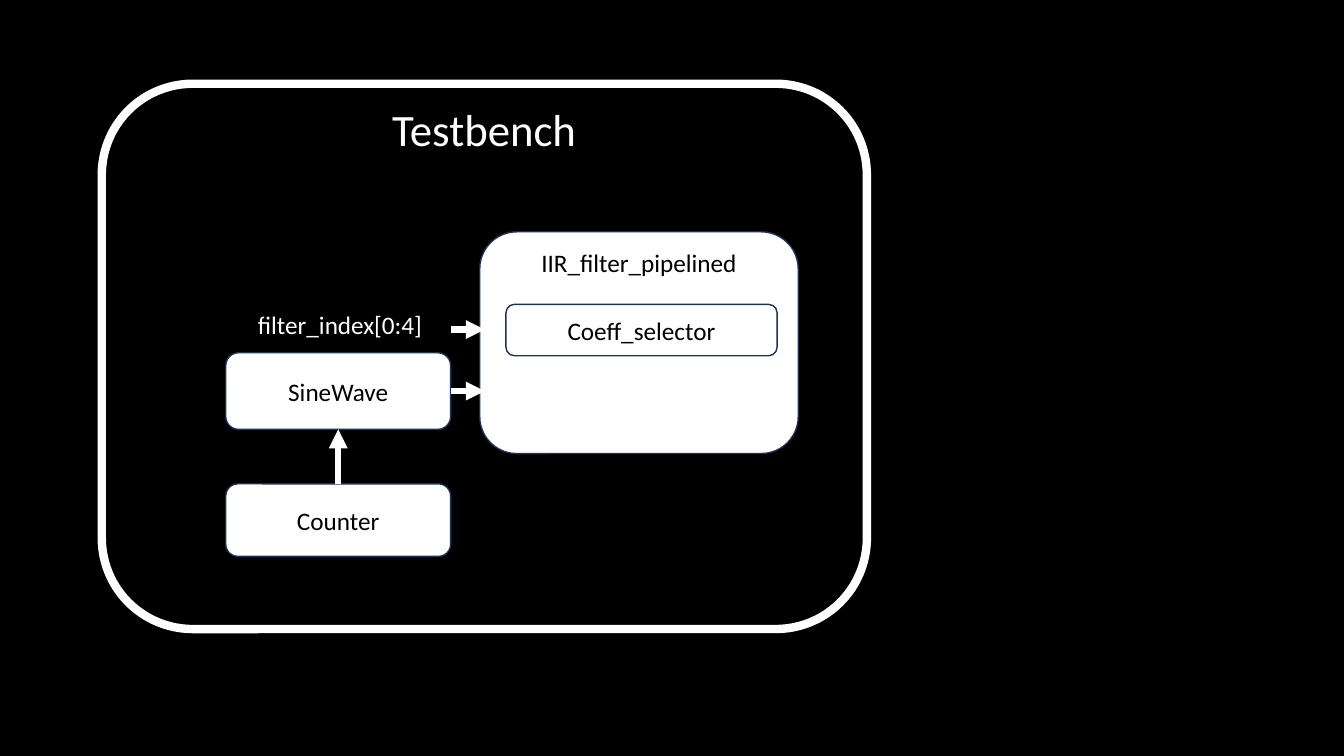
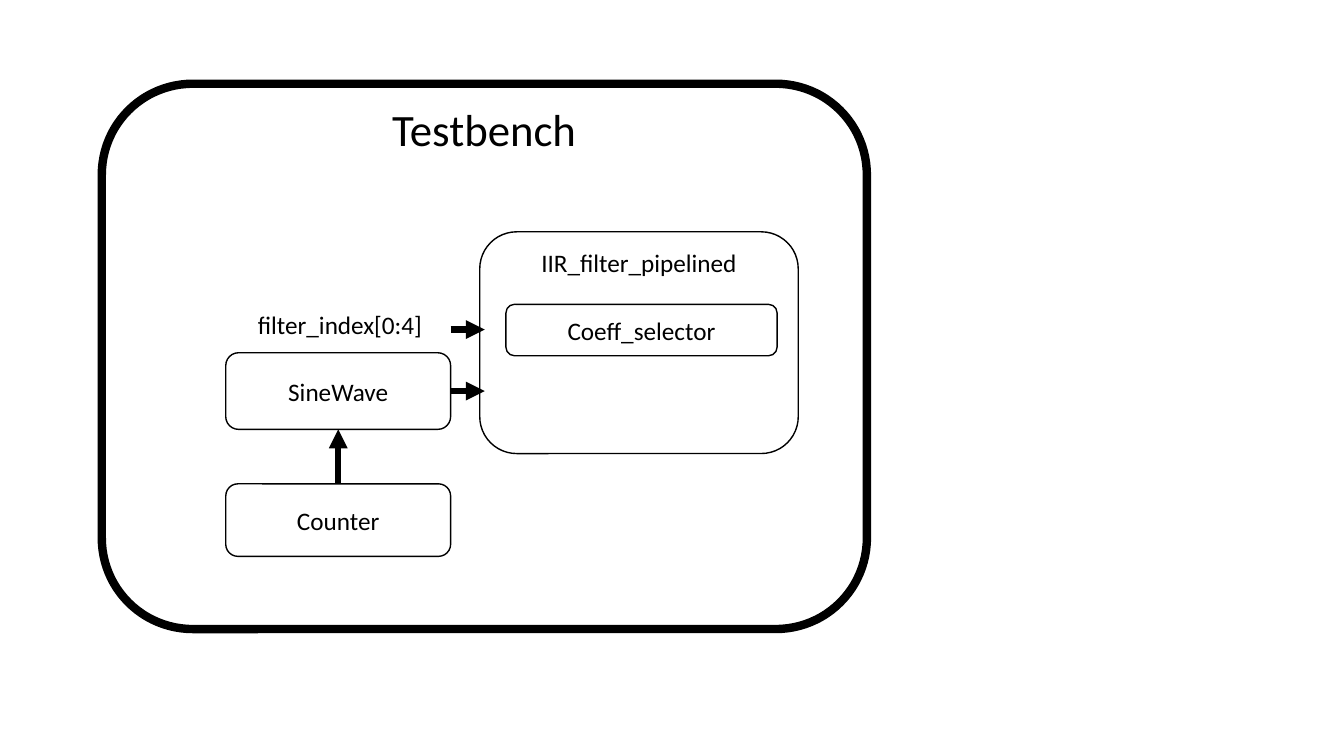
from lxml import etree
from pptx import Presentation
from pptx.dml.color import RGBColor
from pptx.enum.shapes import MSO_CONNECTOR, MSO_SHAPE
from pptx.enum.text import MSO_ANCHOR, PP_ALIGN
from pptx.oxml.ns import qn
from pptx.util import Pt

ROUNDED, STRAIGHT = MSO_SHAPE.ROUNDED_RECTANGLE, MSO_CONNECTOR.STRAIGHT
TOP, MIDDLE = MSO_ANCHOR.TOP, MSO_ANCHOR.MIDDLE
LEFT, CENTER = PP_ALIGN.LEFT, PP_ALIGN.CENTER

FONT = "Calibri"
COLORS = {"black": "000000", "white": "FFFFFF", "navy": "1E3256"}
THEMES = [
    {"back": "black", "ink": "white", "edge": "navy"},
    {"back": "white", "ink": "black", "edge": "black"},
]

# Content: left, top, width, height in points
FRAME = (72.7, 59.8, 546.5, 389.5)
BLOCKS = {
    "IIR_filter_pipelined": ((342.7, 165.6, 227.5, 158.4), TOP),
    "Coeff_selector": ((361.4, 217.4, 193.7, 36.7), MIDDLE),
    "SineWave": ((161.3, 252, 160.6, 54.7), MIDDLE),
    "Counter": ((161.3, 345.6, 160.6, 51.8), MIDDLE),
}
LABELS = [
    ("Testbench", (217.4, 69.1, 257, 46.1), 32, CENTER),
    ("filter_index[0:4]", (177.1, 217.4, 135.4, 28.8), 18, LEFT),
]
INDEX_Y = 235.4   # height of the filter_index arrow
ARROW_LENGTH = 24.4


def rgb(name):
    return RGBColor.from_string(COLORS[name])


def points(box):
    return [Pt(v) for v in box]


def write(shape, text, size, color, align=CENTER, anchor=TOP):
    tf = shape.text_frame
    tf.word_wrap = True
    tf.vertical_anchor = anchor
    p = tf.paragraphs[0]
    p.alignment = align
    r = p.add_run()
    r.text = text
    for name, value in {"name": FONT, "size": Pt(size)}.items():
        setattr(r.font, name, value)
    r.font.color.rgb = rgb(color)


def add_block(s, box, fill, edge, weight):
    sp = s.shapes.add_shape(ROUNDED, *points(box))
    sp.shadow.inherit = False
    sp.fill.solid()
    sp.fill.fore_color.rgb = rgb(fill)
    sp.line.color.rgb = rgb(edge)
    sp.line.width = Pt(weight)
    return sp


def add_arrow(s, start, end, color):
    arrow = s.shapes.add_connector(STRAIGHT, *points(start + end))
    arrow.line.color.rgb = rgb(color)
    arrow.line.width = Pt(4.5)
    etree.SubElement(arrow.line._get_or_add_ln(), qn("a:tailEnd"), type="triangle")
    etree.SubElement(arrow._element.spPr, qn("a:effectLst"))


def find_arrows():
    left, top, width, height = BLOCKS["SineWave"][0]
    right, middle, center = left + width, top + height / 2, left + width / 2
    counter_top = BLOCKS["Counter"][0][1]
    inputs = [((right, y), (right + ARROW_LENGTH, y)) for y in (middle, INDEX_Y)]
    return inputs + [((center, counter_top), (center, top + height))]


def add_diagram(prs, back, ink, edge):
    s = prs.slides.add_slide(prs.slide_layouts[6])
    s.background.fill.solid()
    s.background.fill.fore_color.rgb = rgb(back)

    # Testbench frame and the blocks inside it
    add_block(s, FRAME, back, ink, 6)
    for text, (box, anchor) in BLOCKS.items():
        sp = add_block(s, box, "white", edge, 1)
        write(sp, text, 18, "black", anchor=anchor)

    # Signals and labels
    for start, end in find_arrows():
        add_arrow(s, start, end, ink)
    for text, box, size, align in LABELS:
        write(s.shapes.add_textbox(*points(box)), text, size, ink, align)


def main():
    prs = Presentation()
    prs.slide_width, prs.slide_height = Pt(960), Pt(540)
    for theme in THEMES:
        add_diagram(prs, **theme)
    prs.save("out.pptx")


if __name__ == "__main__":
    main()
